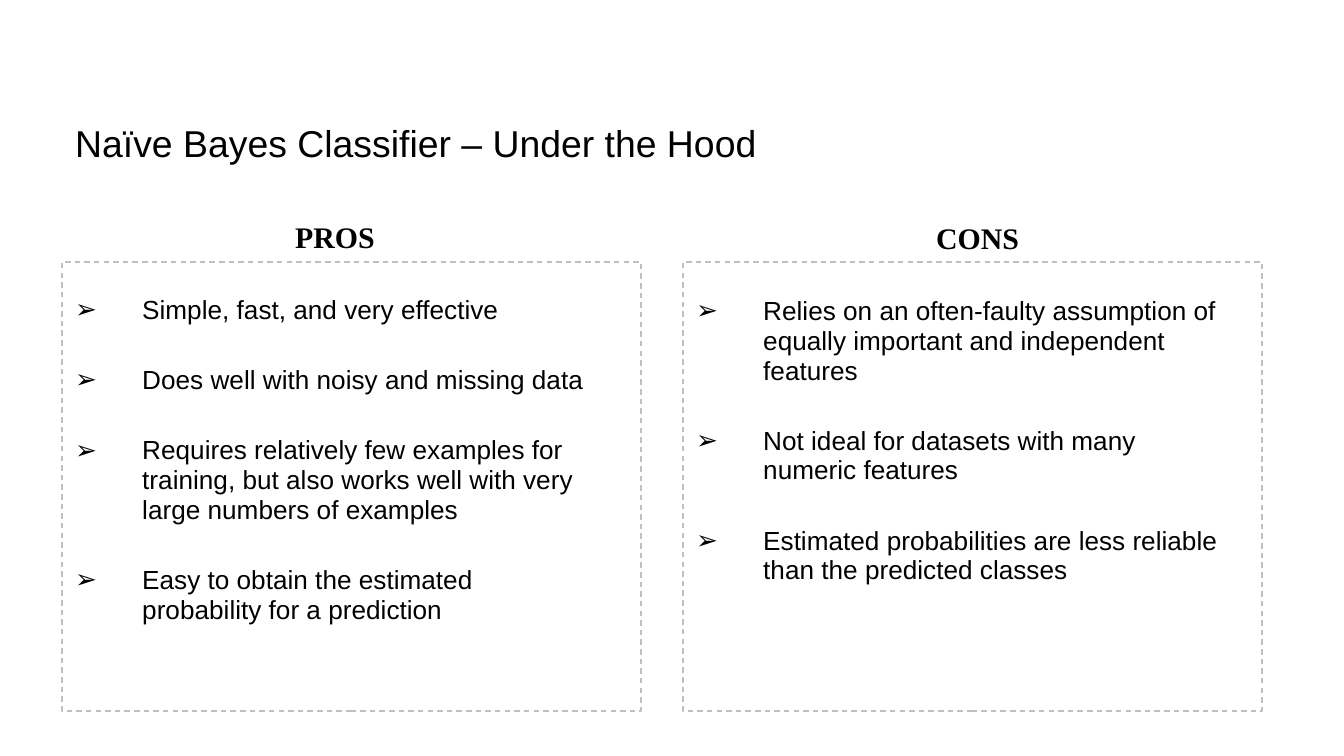
from lxml.etree import SubElement
from pptx import Presentation
from pptx.dml.color import RGBColor
from pptx.enum.dml import MSO_LINE
from pptx.enum.shapes import MSO_SHAPE
from pptx.enum.text import MSO_ANCHOR
from pptx.oxml.ns import qn
from pptx.util import Emu, Pt

COLORS = {"text": "000000", "border": "BFBFBF"}


def px(length):
    return Emu(round(length * 914400 / 134.4))


def add_text(slide, box, lines, font, size, bold=False):
    shape = slide.shapes.add_textbox(*map(px, box))
    frame = shape.text_frame
    frame.word_wrap = True
    for index, line in enumerate(lines):
        paragraph = frame.paragraphs[0] if index == 0 else frame.add_paragraph()
        run = paragraph.add_run()
        run.text = line
        run.font.name = font
        run.font.size = Pt(size)
        run.font.bold = bold
        run.font.color.rgb = RGBColor.from_string(COLORS["text"])
    return frame


presentation = Presentation()
presentation.slide_width = px(1344)
presentation.slide_height = px(756)
slide = presentation.slides.add_slide(presentation.slide_layouts[6])

title = add_text(slide, (62, 94, 921, 141),
                 ["Naïve Bayes Classifier – Under the Hood"], "Arial", 20)
title.vertical_anchor = MSO_ANCHOR.MIDDLE
title.margin_bottom = px(50)

columns = [
    ("PROS", 62, (282, 212), (289, 548, 410), [
        "Simple, fast, and very effective",
        "Does well with noisy and missing data",
        "Requires relatively few examples for training, but also works well "
        "with very large numbers of examples",
        "Easy to obtain the estimated probability for a prediction",
    ]),
    ("CONS", 683, (923, 213), (290, 564, 398), [
        "Relies on an often-faulty assumption of equally important and "
        "independent features",
        "Not ideal for datasets with many numeric features",
        "Estimated probabilities are less reliable than the predicted classes",
    ]),
]

for heading, left, heading_position, list_box, points in columns:
    panel = slide.shapes.add_shape(
        MSO_SHAPE.RECTANGLE, px(left), px(262), px(579), px(449))
    panel.shadow.inherit = False
    panel.fill.background()
    panel.line.color.rgb = RGBColor.from_string(COLORS["border"])
    panel.line.width = Pt(0.75)
    panel.line.dash_style = MSO_LINE.DASH

    add_text(slide, (*heading_position, 161, 50), [heading],
             "Times New Roman", 16, bold=True)

    point_list = add_text(slide, (left, *list_box), points, "Arial", 14)
    for paragraph in point_list.paragraphs:
        paragraph.line_spacing = 0.95
        paragraph.space_after = Pt(21.6)
        properties = paragraph._p.get_or_add_pPr()
        properties.set("marL", str(px(67)))
        properties.set("indent", str(px(-67)))
        SubElement(properties, qn("a:buFont"), typeface="Arial")
        SubElement(properties, qn("a:buChar"), char="➢")

presentation.save("out.pptx")
